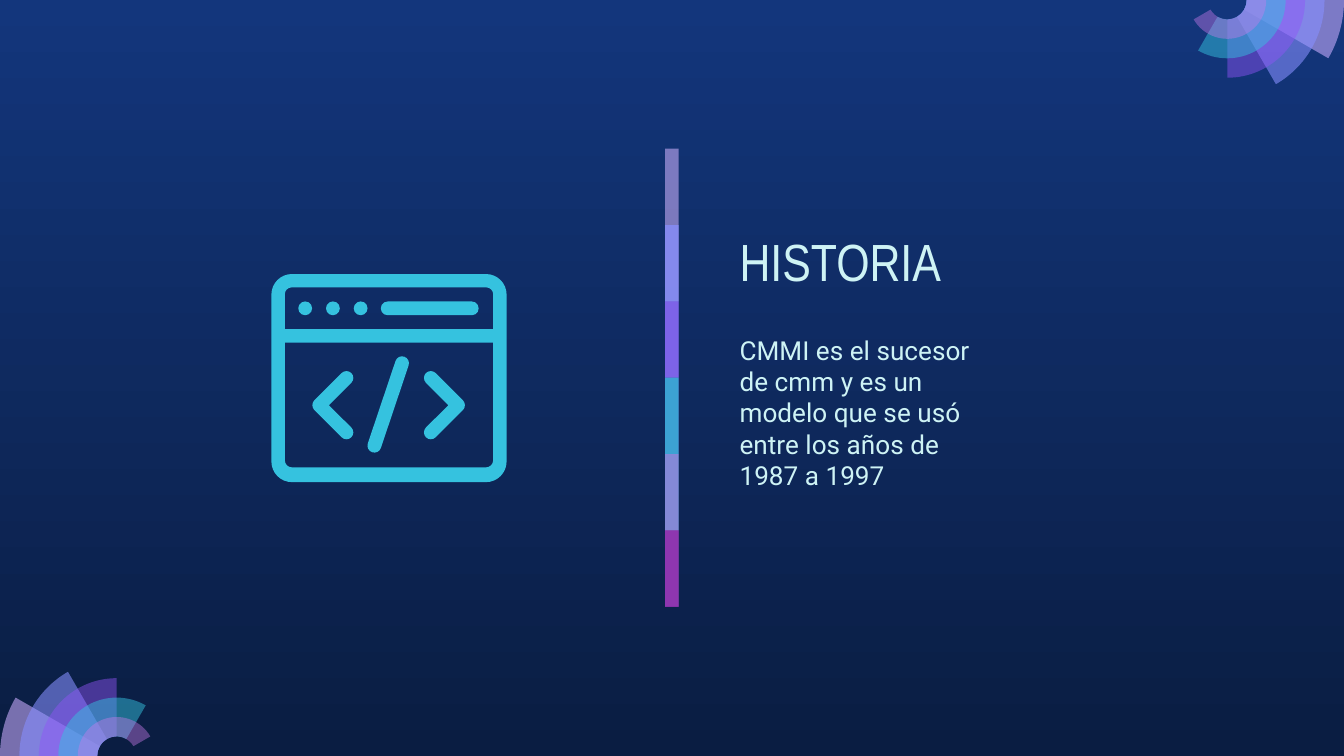
import math

import lxml.etree
import pptx
import pptx.dml.color
import pptx.enum.shapes
import pptx.enum.text
import pptx.oxml.ns
import pptx.util

Pt = pptx.util.Pt
SHAPE = pptx.enum.shapes.MSO_SHAPE
ANCHOR = pptx.enum.text.MSO_ANCHOR
qn = pptx.oxml.ns.qn

SLIDE_WIDTH, SLIDE_HEIGHT = 720, 405
CYAN, PALE = "35C2DF", "CEF3F5"

# Colour and opacity in percent, from top to bottom and from outside to inside
BAR_COLORS = [("C8AEF8", 59), ("878FFF", 74), ("9154F8", 53),
              ("35C2DF", 76), ("CA7BEB", 56), ("972CB4", 74)]
FAN_COLORS = [("C8ACFD", 58), ("878FFF", 58), ("9154F8", 46),
              ("35C2DF", 49), ("CA7BEB", 42)]


def color(hex_string):
    return pptx.dml.color.RGBColor.from_string(hex_string)


def paint(shape, fill, opacity=100):
    shape.shadow.inherit = False
    shape.line.fill.background()
    shape.fill.solid()
    shape.fill.fore_color.rgb = color(fill)
    if opacity < 100:
        rgb = shape.fill._xPr.find(".//" + qn("a:srgbClr"))
        alpha = lxml.etree.SubElement(rgb, qn("a:alpha"))
        alpha.set("val", str(opacity * 1000))


def add_preset(shapes, kind, left, top, width, height, fill, opacity=100):
    shape = shapes.add_shape(kind, Pt(left), Pt(top), Pt(width), Pt(height))
    paint(shape, fill, opacity)
    return shape


def bend_segments(shape, curved):
    """Join each three line segments marked as curved into one Bézier curve."""
    segments = list(shape._element.find(".//" + qn("a:path")))
    index = 0
    while index < len(segments):
        if not curved[index]:
            index += 1
            continue
        curve = lxml.etree.Element(qn("a:cubicBezTo"))
        segments[index].addprevious(curve)
        for segment in segments[index:index + 3]:
            curve.append(segment[0])
            segment.getparent().remove(segment)
        index += 3


def add_outline(shapes, contours, fill, opacity=100):
    """Fill contours of (x, y, curved) points; inner contours become holes."""
    curved = []
    builder = None
    for contour in contours:
        points = [(Pt(x), Pt(y)) for x, y, _ in contour]
        if builder is None:
            builder = shapes.build_freeform(*points[0], scale=1.0)
        else:
            builder.move_to(*points[0])
        builder.add_line_segments(points[1:], close=True)
        curved += [bend for _, _, bend in contour] + [False]
    shape = builder.convert_to_shape()
    bend_segments(shape, curved)
    paint(shape, fill, opacity)


def round_corners(corners, left=0, top=0):
    """Turn corners (x, y, radius) into a contour moved by left and top."""
    contour = []
    for index, (x, y, radius) in enumerate(corners):
        if not radius:
            contour.append((left + x, top + y, False))
            continue
        neighbours = corners[index - 1], corners[(index + 1) % len(corners)]
        for side, other in enumerate(neighbours):
            share = radius / math.dist((x, y), other[:2])
            for part in ((0.45, 1) if side else (1, 0.45)):
                contour.append((left + x + (other[0] - x) * share * part,
                                top + y + (other[1] - y) * share * part,
                                bool(side) or part < 1))
    return contour


def rectangle_corners(left, top, right, bottom, upper_radius, lower_radius):
    return [(left, top, upper_radius), (right, top, upper_radius),
            (right, bottom, lower_radius), (left, bottom, lower_radius)]


def arc(center_x, center_y, radius, start, sweep):
    """Contour points of an arc, with one curve for each 90° or less."""
    def point(degrees, handle, curved):
        angle = math.radians(degrees)
        return (center_x + radius * (math.cos(angle) - handle * math.sin(angle)),
                center_y + radius * (math.sin(angle) + handle * math.cos(angle)),
                curved)

    count = math.ceil(abs(sweep) / 90)
    step = sweep / count
    handle = 4 / 3 * math.tan(math.radians(step) / 4)
    points = [point(start, 0, False)]
    for index in range(count):
        first = start + index * step
        points += [point(first, handle, True), point(first + step, -handle, True),
                   point(first + step, 0, True)]
    return points


def add_background(slide):
    fill = slide.background.fill
    fill.gradient()
    fill.gradient_angle = 270
    for stop, shade in zip(fill.gradient_stops, ("13367C", "0A1D42")):
        stop.color.rgb = color(shade)


def add_color_bar(slide, left, top, width, height):
    """Stack translucent bands, each reaching under the next one."""
    shapes = slide.shapes.add_group_shape().shapes
    step = height / len(BAR_COLORS)
    for index, (fill, opacity) in enumerate(BAR_COLORS):
        band = step * min(2, len(BAR_COLORS) - index)
        add_preset(shapes, SHAPE.RECTANGLE, left, top + index * step,
                   width, band, fill, opacity)


def add_fan(slide, center_x, center_y, radius, start):
    """Draw ring sectors from the start angle, each smaller and 30° longer."""
    shapes = slide.shapes.add_group_shape().shapes
    ring = radius / 6
    for index, (fill, opacity) in enumerate(FAN_COLORS):
        sweep = 30 * (index + 1)
        sector = (arc(center_x, center_y, radius - index * ring, start, sweep)
                  + arc(center_x, center_y, ring, start + sweep, -sweep))
        add_outline(shapes, [sector], fill, opacity)


def add_code_window(slide, left, top, width, height):
    shapes = slide.shapes.add_group_shape().shapes
    border, stroke = 7.2, 7.4
    right, bottom = width - border, height - border
    frame = [rectangle_corners(0, 0, width, height, 11, 11),
             rectangle_corners(border, border, right, 29.5, 3.6, 0),
             rectangle_corners(border, 36.8, right, bottom - 0.7, 0, 3.8)]
    add_outline(shapes, [round_corners(part, left, top) for part in frame], CYAN)

    for index in range(3):
        add_preset(shapes, SHAPE.OVAL, left + 14.4 + index * 14.85, top + 14.7,
                   stroke, stroke, CYAN)
    address = add_preset(shapes, SHAPE.ROUNDED_RECTANGLE, left + 58.6, top + 14.7,
                         52.4, stroke, CYAN)
    address.adjustments[0] = 0.5

    cap = stroke / 2
    chevron = [(85.4, 50.5, cap), (105.2, 70.3, cap), (85.4, 90.1, cap),
               (80.2, 84.9, cap), (94.8, 70.3, 0), (80.2, 55.7, cap)]
    mirrored = [(width - 0.4 - x, y, radius) for x, y, radius in chevron]
    slash = [(67.7, 43.1, cap), (74.7, 45.5, cap),
             (57.5, 96.7, cap), (50.5, 94.3, cap)]
    for corners in (chevron, mirrored, slash):
        add_outline(shapes, [round_corners(corners, left, top)], CYAN)


def add_text(slide, left, top, width, height, text, font, size, anchor):
    box = slide.shapes.add_textbox(Pt(left), Pt(top), Pt(width), Pt(height))
    frame = box.text_frame
    frame.word_wrap = True
    frame.vertical_anchor = anchor
    frame.margin_left = frame.margin_right = Pt(7.2)
    frame.margin_top = frame.margin_bottom = Pt(7.2)
    frame.text = text
    run_font = frame.paragraphs[0].runs[0].font
    run_font.name = font
    run_font.size = Pt(size)
    run_font.color.rgb = color(PALE)


def add_history(slide, left, top, width, height):
    add_text(slide, left, top, width, 76.3, "HISTORIA",
             "Arial Narrow", 28, ANCHOR.MIDDLE)
    add_text(slide, left, top + 70.3, width, height - 70.3,
             "CMMI es el sucesor de cmm y es un modelo que se usó "
             "entre los años de 1987 a 1997", "Roboto", 14, ANCHOR.TOP)


def main():
    presentation = pptx.Presentation()
    presentation.slide_width = Pt(SLIDE_WIDTH)
    presentation.slide_height = Pt(SLIDE_HEIGHT)
    slide = presentation.slides.add_slide(presentation.slide_layouts[6])
    add_background(slide)
    add_color_bar(slide, 356.4, 79.7, 7.2, 245.4)
    add_history(slide, 389.1, 101.5, 149.8, 212.1)
    add_code_window(slide, 145.4, 146.8, 126, 111.5)
    fan_radius = 62.5
    add_fan(slide, fan_radius, SLIDE_HEIGHT, fan_radius, 180)
    add_fan(slide, SLIDE_WIDTH - fan_radius, 0, fan_radius, 0)
    presentation.save("out.pptx")


if __name__ == "__main__":
    main()
